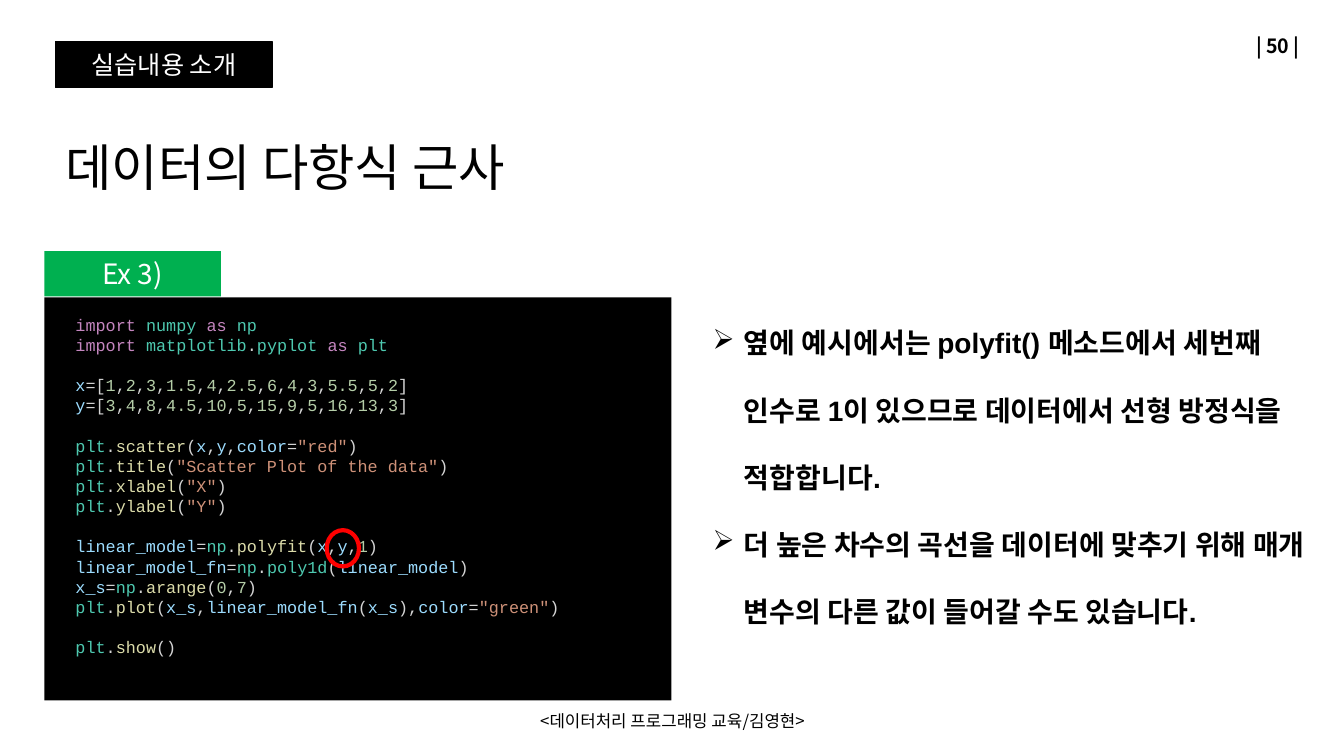
import itertools
from dataclasses import dataclass

import pptx
import pptx.dml.color
import pptx.enum.shapes
import pptx.enum.text
import pptx.oxml
import pptx.oxml.ns
import pptx.util
from pptx.util import Inches

ALIGN = pptx.enum.text.PP_ALIGN
ANCHOR = pptx.enum.text.MSO_ANCHOR
SHAPE = pptx.enum.shapes.MSO_SHAPE


@dataclass(frozen=True)
class Theme:
    sans: str = "Noto Sans CJK KR"
    body: str = "Arial"
    mono: str = "Courier New"
    black: str = "000000"
    white: str = "FFFFFF"
    green: str = "00B050"
    red: str = "FF0000"
    keyword: str = "C586C0"
    module: str = "4EC9B0"
    function: str = "DCDCAA"
    variable: str = "9CDCFE"
    number: str = "B5CEA8"
    string: str = "CE9178"
    mark: str = "D4D4D4"
    title_size: int = 36
    label_size: int = 20
    section_size: int = 18
    page_size: int = 14
    small_size: int = 12
    code_pitch: float = 14.4


THEME = Theme()

KEYWORDS = {"import", "as"}
MODULES = {"numpy", "np", "matplotlib", "pyplot", "plt", "poly1d"}
FUNCTIONS = {"scatter", "title", "xlabel", "ylabel", "polyfit", "arange", "plot", "show"}

CODE = """import numpy as np
import matplotlib.pyplot as plt

x=[1,2,3,1.5,4,2.5,6,4,3,5.5,5,2]
y=[3,4,8,4.5,10,5,15,9,5,16,13,3]

plt.scatter(x,y,color="red")
plt.title("Scatter Plot of the data")
plt.xlabel("X")
plt.ylabel("Y")

linear_model=np.polyfit(x,y,1)
linear_model_fn=np.poly1d(linear_model)
x_s=np.arange(0,7)
plt.plot(x_s,linear_model_fn(x_s),color="green")

plt.show()"""

NOTES = [
    "옆에 예시에서는 polyfit() 메소드에서 세번째 인수로 1이 있으므로 데이터에서 선형 방정식을 적합합니다.",
    "더 높은 차수의 곡선을 데이터에 맞추기 위해 매개 변수의 다른 값이 들어갈 수도 있습니다.",
]


def rgb(value):
    return pptx.dml.color.RGBColor.from_string(value)


def add_span(para, text, size, color, font=THEME.sans, east_asian=THEME.sans, bold=False):
    span = para.add_run()
    span.text = text
    span.font.name = font
    span.font.size = pptx.util.Pt(size)
    span.font.bold = bold
    span.font.color.rgb = rgb(color)
    typeface = pptx.oxml.parse_xml(
        f'<a:ea {pptx.oxml.ns.nsdecls("a")} typeface="{east_asian}"/>')
    span.font._element.find(pptx.oxml.ns.qn("a:latin")).addnext(typeface)


def add_box(page, left, top, width, height, anchor=ANCHOR.TOP):
    box = page.shapes.add_textbox(Inches(left), Inches(top), Inches(width), Inches(height))
    box.text_frame.word_wrap = True
    box.text_frame.vertical_anchor = anchor
    return box.text_frame


def add_line(page, text, place, size, align=ALIGN.LEFT, anchor=ANCHOR.MIDDLE, bold=False):
    para = add_box(page, *place, anchor=anchor).paragraphs[0]
    para.alignment = align
    add_span(para, text, size, THEME.black, bold=bold)


def add_block(page, place, kind=SHAPE.RECTANGLE, fill=None, line=None, line_width=1):
    block = page.shapes.add_shape(kind, *map(Inches, place))
    block.shadow.inherit = False
    if fill:
        block.fill.solid()
        block.fill.fore_color.rgb = rgb(fill)
    else:
        block.fill.background()
    if line:
        block.line.color.rgb = rgb(line)
        block.line.width = pptx.util.Pt(line_width)
    else:
        block.line.fill.background()
    return block


def add_label(page, text, place, size, fill, line=None):
    frame = add_block(page, place, fill=fill, line=line).text_frame
    frame.vertical_anchor = ANCHOR.MIDDLE
    para = frame.paragraphs[0]
    para.alignment = ALIGN.CENTER
    add_span(para, text, size, THEME.white)


def paragraphs(frame):
    yield frame.paragraphs[0]
    while True:
        yield frame.add_paragraph()


def split_tokens(line):
    in_string = False
    kinds = []
    for position, letter in enumerate(line):
        decimal = letter == "." and line[position + 1].isdigit()
        if letter == '"':
            in_string = not in_string
        if in_string or letter == '"':
            kinds.append("string")
        elif letter.isalnum() or letter == "_" or decimal:
            kinds.append("word")
        else:
            kinds.append("mark")
    for kind, pairs in itertools.groupby(zip(kinds, line), key=lambda pair: pair[0]):
        yield kind, "".join(letter for _, letter in pairs)


def token_color(kind, token):
    if kind != "word":
        return THEME.string if kind == "string" else THEME.mark
    if token[0].isdigit():
        return THEME.number
    if token in KEYWORDS:
        return THEME.keyword
    if token in MODULES:
        return THEME.module
    return THEME.function if token in FUNCTIONS else THEME.variable


def add_code(page, code, place):
    paras = paragraphs(add_box(page, *place))
    for group_index, group in enumerate(code.split("\n\n")):
        for line_index, line in enumerate(group.split("\n")):
            para = next(paras)
            para.line_spacing = pptx.util.Pt(THEME.code_pitch)
            if group_index and not line_index:
                para.space_before = pptx.util.Pt(THEME.code_pitch)
            for kind, token in split_tokens(line):
                add_span(para, token, THEME.small_size, token_color(kind, token),
                         font=THEME.mono, east_asian=THEME.mono)


def add_bullets(page, texts, place):
    for text, para in zip(texts, paragraphs(add_box(page, *place))):
        properties = para._p.get_or_add_pPr()
        properties.set("marL", str(Inches(0.31)))
        properties.set("indent", str(Inches(-0.31)))
        properties.append(pptx.oxml.parse_xml(
            f'<a:buChar {pptx.oxml.ns.nsdecls("a")} char="➢"/>'))
        para.line_spacing = 2.0
        add_span(para, text, THEME.label_size, THEME.black, font=THEME.body, bold=True)


def main():
    deck = pptx.Presentation()
    deck.slide_width, deck.slide_height = Inches(13.33), Inches(7.5)
    page = deck.slides.add_slide(deck.slide_layouts[6])

    add_line(page, "| 50 |", (9.99, 0.25, 3, 0.4), THEME.page_size, ALIGN.RIGHT, bold=True)
    add_label(page, "실습내용 소개", (0.55, 0.41, 2.15, 0.46), THEME.section_size,
              THEME.black, line=THEME.black)
    add_line(page, "데이터의 다항식 근사", (0.55, 1.29, 9.73, 0.71), THEME.title_size,
             anchor=ANCHOR.BOTTOM)
    add_line(page, "<데이터처리 프로그래밍 교육/김영현>", (4.42, 6.95, 4.5, 0.4),
             THEME.small_size, ALIGN.CENTER)
    add_block(page, (0.44, 2.95, 6.22, 4), fill=THEME.black)
    add_code(page, CODE, (0.65, 3.07, 6.02, 3.53))
    add_label(page, "Ex 3)", (0.44, 2.49, 1.75, 0.45), THEME.label_size, THEME.green)
    add_bullets(page, NOTES, (6.97, 2.85, 6.22, 3.36))
    add_block(page, (3.24, 5.26, 0.32, 0.36), SHAPE.OVAL, line=THEME.red, line_width=3)

    deck.save("out.pptx")


if __name__ == "__main__":
    main()
